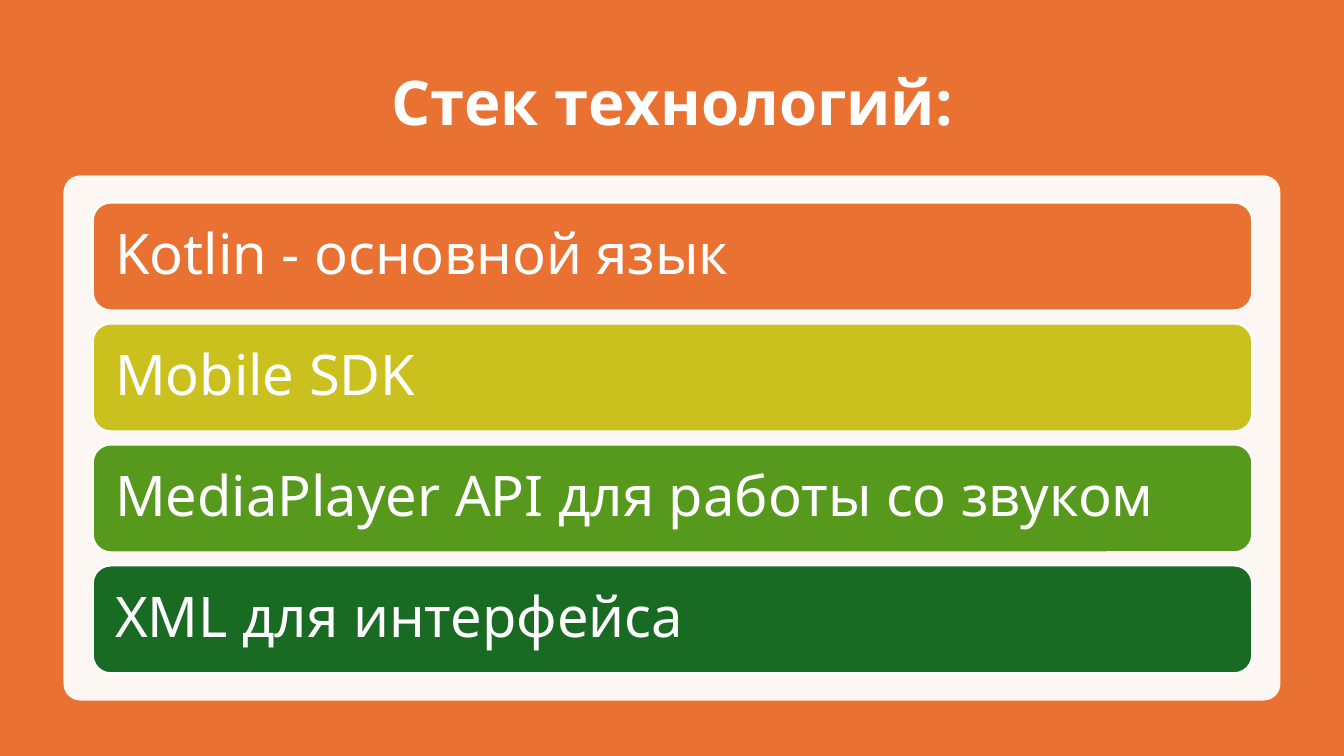
from lxml import etree
from pptx import Presentation
from pptx.dml.color import RGBColor
from pptx.enum.shapes import MSO_SHAPE
from pptx.enum.text import MSO_ANCHOR, PP_ALIGN
from pptx.oxml.ns import qn
from pptx.util import Inches, Pt

ROUNDED = MSO_SHAPE.ROUNDED_RECTANGLE
MIDDLE = MSO_ANCHOR.MIDDLE
LEFT, CENTER = PP_ALIGN.LEFT, PP_ALIGN.CENTER

FONT = "Noto Sans"
COLORS = {
    "white": "FFFFFF",
    "orange": "E97132",
    "yellow": "CBC11E",
    "green": "56991D",
    "dark_green": "196B24",
}
TECHNOLOGIES = [
    ("Kotlin - основной язык", "orange"),
    ("Mobile SDK", "yellow"),
    ("MediaPlayer API для работы со звуком", "green"),
    ("XML для интерфейса", "dark_green"),
]


def color(key):
    """Return the palette colour with the given key."""
    return RGBColor.from_string(COLORS[key])


def write_line(frame, text, size, align, bold=False):
    """Put one white, vertically centred line into a text frame."""
    frame.text = text
    frame.word_wrap = True
    frame.vertical_anchor = MIDDLE
    line = frame.paragraphs[0]
    line.alignment = align
    line.line_spacing = 0.9
    font = line.runs[0].font
    font.name, font.size, font.bold = FONT, Pt(size), bold
    font.color.rgb = color("white")


def add_rounded(slide, left, top, width, height, fill):
    """Add a filled rounded rectangle without shadow; lengths in inches."""
    rounded = slide.shapes.add_shape(
        ROUNDED, Inches(left), Inches(top), Inches(width), Inches(height))
    rounded.shadow.inherit = False
    rounded.fill.solid()
    rounded.fill.fore_color.rgb = color(fill)
    return rounded


def place_title(slide, left, top, width, height):
    """Move and format the title placeholder."""
    title = slide.shapes.title
    title.left, title.top = Inches(left), Inches(top)
    title.width, title.height = Inches(width), Inches(height)
    write_line(title.text_frame, "Стек технологий:", 44, CENTER, bold=True)


def add_panel(slide, left, top, width, height):
    """Add the slightly transparent white panel behind the list."""
    panel = add_rounded(slide, left, top, width, height, "white")
    panel.adjustments[0] = 0.032
    panel.line.fill.background()
    white = panel.fill._xPr.find(qn("a:solidFill"))[0]
    etree.SubElement(white, qn("a:alpha")).set("val", "95000")


def add_technology_bars(slide, left, top, width, height, gap=0.13):
    """Stack one bar per technology evenly in the given box."""
    count = len(TECHNOLOGIES)
    bar_height = (height - gap * (count - 1)) / count
    for index, (technology, fill) in enumerate(TECHNOLOGIES):
        bar_top = top + index * (bar_height + gap)
        bar = add_rounded(slide, left, bar_top, width, bar_height, fill)
        bar.line.color.rgb = color("white")
        bar.line.width = Pt(1.5)
        frame = bar.text_frame
        frame.margin_left = frame.margin_right = Inches(0.17)
        frame.margin_top = frame.margin_bottom = Inches(0.17)
        write_line(frame, technology, 40, LEFT)


def build_stack_slide(presentation):
    """Build the technology stack slide."""
    slide = presentation.slides.add_slide(presentation.slide_layouts[5])
    slide.background.fill.solid()
    slide.background.fill.fore_color.rgb = color("orange")
    place_title(slide, 0.92, 0.5, 11.5, 1.1)
    add_panel(slide, 0.63, 1.74, 12.07, 5.21)
    add_technology_bars(slide, 0.92, 2.01, 11.5, 4.67)


def main():
    """Create and save the presentation."""
    presentation = Presentation()
    presentation.slide_width = Inches(13.33)
    presentation.slide_height = Inches(7.5)
    build_stack_slide(presentation)
    presentation.save("out.pptx")


if __name__ == "__main__":
    main()
